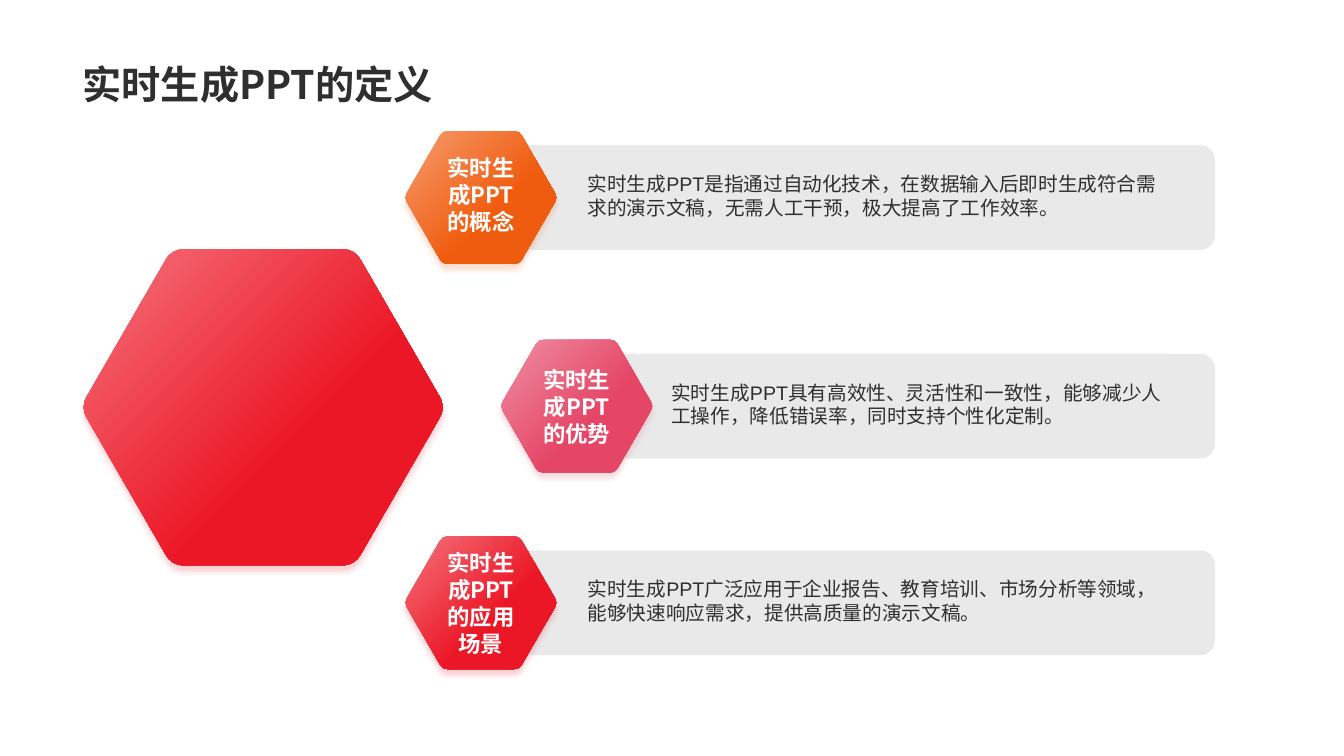
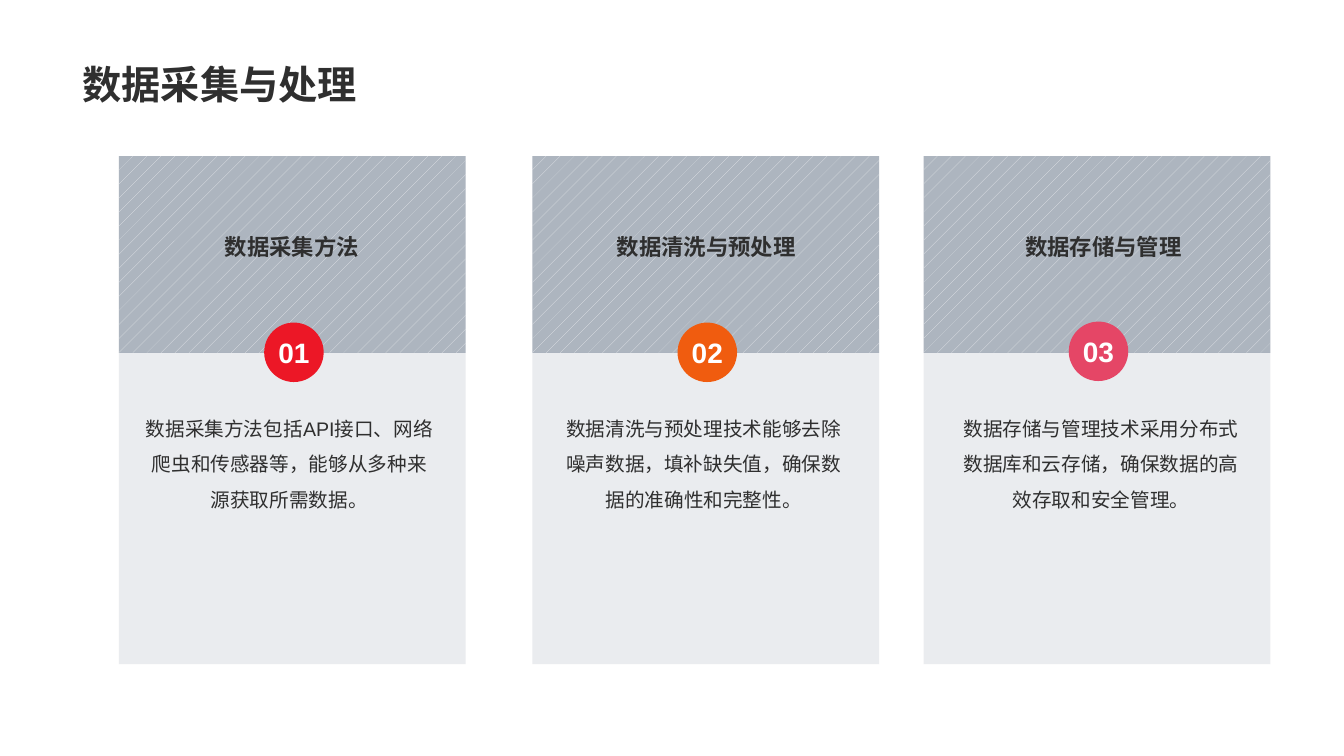
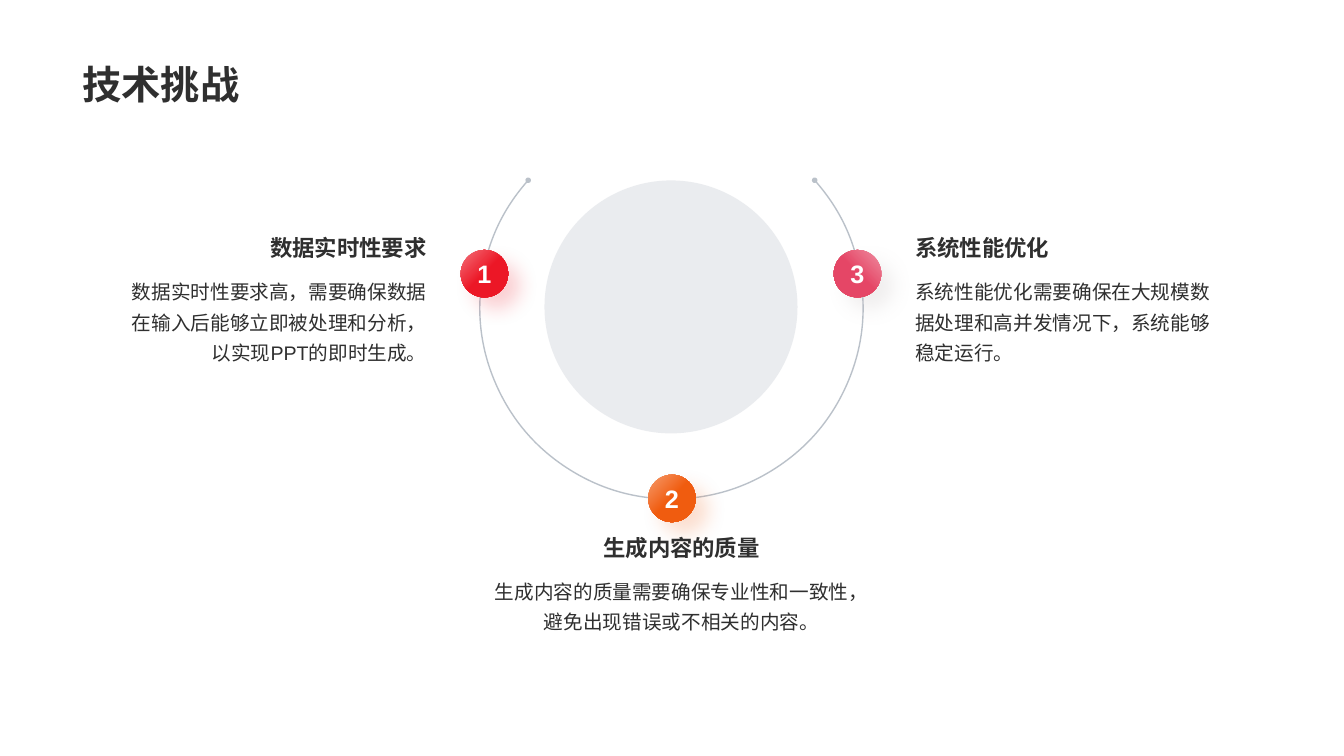
from math import cos, pi, radians, sin

from lxml import etree
from pptx import Presentation
from pptx.dml.color import RGBColor
from pptx.enum.dml import MSO_PATTERN
from pptx.enum.lang import MSO_LANGUAGE_ID
from pptx.enum.shapes import MSO_SHAPE
from pptx.enum.text import MSO_ANCHOR, MSO_AUTO_SIZE, PP_ALIGN
from pptx.oxml.ns import qn
from pptx.util import Inches, Pt

RECT, ROUND, OVAL = MSO_SHAPE.RECTANGLE, MSO_SHAPE.ROUNDED_RECTANGLE, MSO_SHAPE.OVAL
LEFT, MID, RIGHT = PP_ALIGN.LEFT, PP_ALIGN.CENTER, PP_ALIGN.RIGHT
TOP, CENTER, BASE = MSO_ANCHOR.TOP, MSO_ANCHOR.MIDDLE, MSO_ANCHOR.BOTTOM
GROW, FIXED = MSO_AUTO_SIZE.SHAPE_TO_FIT_TEXT, MSO_AUTO_SIZE.NONE
HATCH = MSO_PATTERN.PERCENT_5
CHINESE = MSO_LANGUAGE_ID.SIMPLIFIED_CHINESE

HAN, SANS = "Noto Sans CJK SC", "Arial"
COLORS = {
    "ink": "2F2F2F", "white": "FFFFFF", "slate": "778495",
    "red": "EC1726", "orange": "F05C0F", "pink": "E54666",
    "pale red": "F4747D", "pale orange": "F69D6F", "pale pink": "EF90A3",
    "steel": "ADB5BF", "mist": "E4E6EA", "taupe": "B7AEAE",
}


def rgb(name):
    return RGBColor.from_string(COLORS[name])


def box(x, y, w, h):
    return [Inches(v) for v in (x, y, w, h)]


# Fills, lines and shadows
def fade(owner, percent):
    color = next(owner.iter(qn("a:srgbClr")))
    etree.SubElement(color, qn("a:alpha"), val=str(percent * 1000))


def paint(shape, color, alpha=None):
    shape.shadow.inherit = False
    shape.line.fill.background()
    shape.fill.solid()
    shape.fill.fore_color.rgb = rgb(color)
    if alpha:
        fade(shape._element.spPr.find(qn("a:solidFill")), alpha)


def shine(shape, color, end, angle=315):
    shape.line.fill.background()
    shape.fill.gradient()
    shape.fill.gradient_angle = angle
    first, last = shape.fill.gradient_stops
    first.color.rgb, first.position = rgb("pale " + color), 0
    last.color.rgb, last.position = rgb(color), end


def shade(shape, color, blur, dist, angle):
    shape.shadow.inherit = False
    effects = shape._element.spPr.find(qn("a:effectLst"))
    outer = etree.SubElement(
        effects, qn("a:outerShdw"), blurRad=str(Pt(blur)), dist=str(Pt(dist)),
        dir=str(angle * 60000), algn="tl", rotWithShape="0")
    etree.SubElement(outer, qn("a:srgbClr"), val=COLORS[color])
    fade(outer, 20)


# Text
def write(shape, text, size, color="ink", bold=False, font=SANS, align=LEFT,
          anchor=TOP, space=None, inset=None, wrap=True, auto=FIXED):
    frame = shape.text_frame
    frame.text = text
    frame.word_wrap = wrap
    frame.auto_size = auto
    frame.vertical_anchor = anchor
    if inset:
        frame.margin_left = frame.margin_right = Inches(inset)
        frame.margin_top = frame.margin_bottom = Inches(inset)
    para = frame.paragraphs[0]
    para.alignment = align
    if space:
        para.line_spacing = space
    run = para.runs[0]
    run.font.size = Pt(size)
    run.font.bold = bold
    run.font.name = font
    run.font.color.rgb = rgb(color)
    run.font.language_id = CHINESE
    etree.SubElement(run._r.get_or_add_rPr(), qn("a:ea"), typeface=HAN)


def label(slide, place, text, size, **style):
    write(slide.shapes.add_textbox(*box(*place)), text, size, **style)


def start(deck, title):
    slide = deck.slides.add_slide(deck.slide_layouts[5])
    holder = slide.shapes.title
    holder.left, holder.top, holder.width, holder.height = box(0.72, 0, 11.88, 1.12)
    write(holder, title, 28, bold=True, font=HAN, anchor=BASE, space=0.9)
    return slide


# Outlines
def trace(slide, points, step, close):
    """Outline whose every step-th segment pair, from the first, is a curve."""
    spots = [(Inches(x), Inches(y)) for x, y in points]
    pen = slide.shapes.build_freeform(*spots[0])
    pen.add_line_segments(spots[1:], close=close)
    shape = pen.convert_to_shape()
    shape.shadow.inherit = False
    lines = list(shape._element.iter(qn("a:lnTo")))
    for bend, end in zip(lines[::step], lines[1::step]):
        bend.tag = qn("a:quadBezTo")
        bend.append(end[0])
        end.getparent().remove(end)
    return shape


def hexagon(slide, x, y, radius, color):
    """Regular hexagon around (x, y) with rounded corners."""
    tips = [(x + radius * cos(k * pi / 3), y + radius * sin(k * pi / 3))
            for k in range(6)]
    cut = 1 / 15
    points = []
    for k, tip in enumerate(tips):
        near, far = [[t + cut * (o - t) for t, o in zip(tip, other)]
                     for other in (tips[k - 1], tips[(k + 1) % 6])]
        points += [near, tip, far]
    shape = trace(slide, points, 3, True)
    shine(shape, color, 0.6)
    shade(shape, color, 4, 4, 90)


def arc(slide, x, y, radius, first, last):
    parts = 8
    half = radians(last - first) / parts / 2
    points = []
    for k in range(2 * parts + 1):
        turn = radians(first) + k * half
        reach = radius / cos(half) if k % 2 else radius
        points.append((x + reach * cos(turn), y + reach * sin(turn)))
    shape = trace(slide, points, 2, False)
    shape.fill.background()
    shape.line.width = Pt(1)
    shape.line.color.rgb = rgb("slate")
    line = shape._element.spPr.find(qn("a:ln"))
    fade(line, 50)
    for end in ("a:headEnd", "a:tailEnd"):
        etree.SubElement(line, qn(end), type="oval", w="sm", len="sm")


# Slide 1: three hexagon rows
def bar_row(slide, x, top, tag_top, color, tag, text_x, text_w, text):
    bar_x = x - 0.2
    bar = slide.shapes.add_shape(ROUND, *box(bar_x, top + 0.14, 12.05 - bar_x, 1.04))
    bar.adjustments[0] = 0.14
    paint(bar, "ink", 10)
    hexagon(slide, x, top + 0.66, 0.76, color)
    label(slide, (x - 0.54, tag_top, 1.08, 1.32), tag, 16, color="white", bold=True,
          font=HAN, align=MID, anchor=CENTER, inset=0.12)
    label(slide, (text_x, top + 0.22, text_w, 0.84), text, 14, anchor=CENTER)


def define(deck):
    slide = start(deck, "实时生成PPT的定义")
    hexagon(slide, 2.61, 4.04, 1.81, "red")
    rows = [
        (4.77, 1.3, 1.27, "orange", "实时生成PPT的概念", 5.73, 5.91,
         "实时生成PPT是指通过自动化技术，在数据输入后即时生成符合需求的演示文稿，无需人工干预，极大提高了工作效率。"),
        (5.72, 3.37, 3.37, "pink", "实时生成PPT的优势", 6.56, 5.21,
         "实时生成PPT具有高效性、灵活性和一致性，能够减少人工操作，降低错误率，同时支持个性化定制。"),
        (4.77, 5.32, 5.32, "red", "实时生成PPT的应用场景", 5.73, 5.91,
         "实时生成PPT广泛应用于企业报告、教育培训、市场分析等领域，能够快速响应需求，提供高质量的演示文稿。"),
    ]
    for row in rows:
        bar_row(slide, *row)


# Slide 2: three numbered cards
def card(slide, x, shift, badge_y, number, color, text):
    panel = slide.shapes.add_shape(RECT, *box(x, 1.55, 3.44, 1.95))
    panel.shadow.inherit = False
    panel.line.fill.background()
    panel.fill.patterned()
    panel.fill.pattern = HATCH
    panel.fill.fore_color.rgb = rgb("mist")
    panel.fill.back_color.rgb = rgb("steel")
    paint(slide.shapes.add_shape(RECT, *box(x, 3.5, 3.44, 3.09)), "slate", 15)
    badge = slide.shapes.add_shape(ROUND, *box(x + 1.44, badge_y, 0.59, 0.59))
    badge.adjustments[0] = 0.5
    paint(badge, color)
    write(badge, number, 20, color="white", bold=True, align=MID, anchor=CENTER,
          wrap=False)
    label(slide, (x + 0.15 + shift, 3.97, 3.08, 0.76), text, 14, align=MID,
          space=1.5, auto=GROW)


def collect(deck):
    slide = start(deck, "数据采集与处理")
    cards = [
        (1.18, 0, 3.2, "01", "red",
         "数据采集方法包括API接口、网络爬虫和传感器等，能够从多种来源获取所需数据。"),
        (5.28, 0.01, 3.2, "02", "orange",
         "数据清洗与预处理技术能够去除噪声数据，填补缺失值，确保数据的准确性和完整性。"),
        (9.16, 0.07, 3.19, "03", "pink",
         "数据存储与管理技术采用分布式数据库和云存储，确保数据的高效存取和安全管理。"),
    ]
    for item in cards:
        card(slide, *item)
    heads = ["数据采集方法", "数据清洗与预处理", "数据存储与管理"]
    for (x, shift, *_), head in zip(cards, heads):
        label(slide, (x + 0.48 + shift, 2.26, 2.47, 0.37), head, 16, bold=True,
              font=HAN, align=MID, anchor=BASE, auto=GROW)


# Slide 3: three balls on an open ring
def ball(slide, x, y, number, color, glow, angle):
    shape = slide.shapes.add_shape(OVAL, *box(x, y, 0.47, 0.47))
    shine(shape, color, 0.5, angle)
    shade(shape, glow, 14, 12, 45)
    write(shape, number, 18, color="white", bold=True, align=MID, anchor=CENTER,
          inset=0.12, wrap=False)


def note(slide, x, y, w, h, align, head, text):
    label(slide, (x, y, w, 0.37), head, 16, bold=True, align=align, anchor=BASE,
          auto=GROW)
    label(slide, (x, y + 0.39, w, h), text, 14, align=align, space=1.3, auto=GROW)


def challenge(deck):
    slide = start(deck, "技术挑战")
    arc(slide, 6.66, 3.05, 1.9, -41.6, 221.6)
    paint(slide.shapes.add_shape(OVAL, *box(5.4, 1.79, 2.51, 2.51)), "slate", 15)
    balls = [
        (4.57, 2.48, "1", "red", "red", 315),
        (6.43, 4.71, "2", "orange", "orange", 315),
        (8.27, 2.48, "3", "pink", "taupe", 225),
    ]
    for item in balls:
        ball(slide, *item)
    notes = [
        (8.98, 2.27, 3.3, 0.99, LEFT, "系统性能优化",
         "系统性能优化需要确保在大规模数据处理和高并发情况下，系统能够稳定运行。"),
        (1.04, 2.27, 3.29, 0.99, RIGHT, "数据实时性要求",
         "数据实时性要求高，需要确保数据在输入后能够立即被处理和分析，以实现PPT的即时生成。"),
        (4.77, 5.24, 3.98, 0.68, MID, "生成内容的质量",
         "生成内容的质量需要确保专业性和一致性，避免出现错误或不相关的内容。"),
    ]
    for item in notes:
        note(slide, *item)


def main():
    deck = Presentation()
    deck.slide_width, deck.slide_height = Inches(13.33), Inches(7.5)
    define(deck)
    collect(deck)
    challenge(deck)
    deck.save("out.pptx")


if __name__ == "__main__":
    main()
